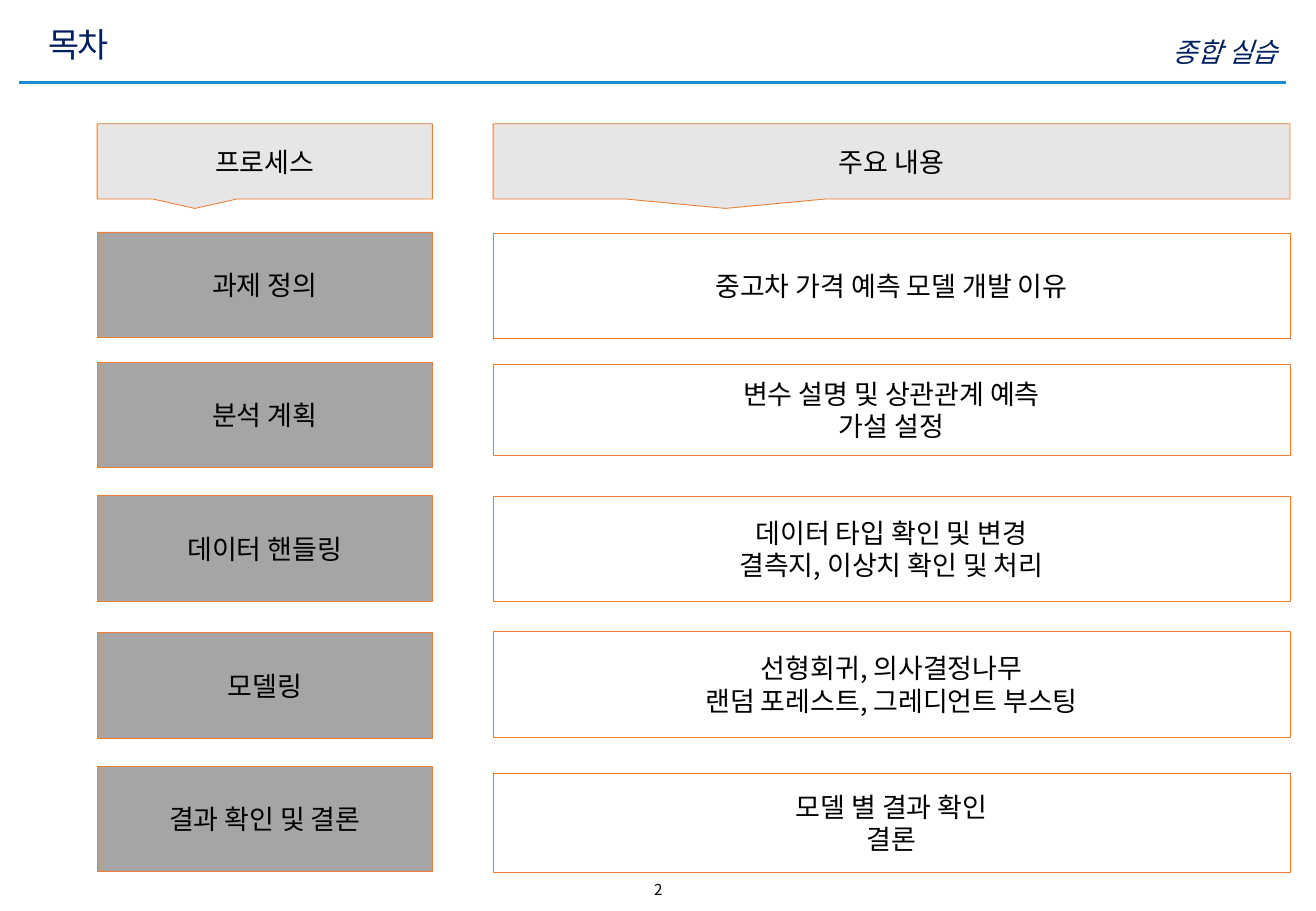
from pptx import Presentation
from pptx.dml.color import RGBColor
from pptx.enum.shapes import MSO_CONNECTOR, MSO_SHAPE
from pptx.enum.text import MSO_ANCHOR, PP_ALIGN
from pptx.oxml.ns import qn
from pptx.util import Pt
from lxml import etree

FONT = "Noto Sans CJK KR"
NAVY = RGBColor(0x00, 0x20, 0x60)
BLUE = RGBColor(0x18, 0x8D, 0xD0)
ORANGE = RGBColor(0xED, 0x7D, 0x31)
GRAY = RGBColor(0xA5, 0xA5, 0xA5)
LIGHT = RGBColor(0xE7, 0xE6, 0xE6)
WHITE = RGBColor(0xFF, 0xFF, 0xFF)
BLACK = RGBColor(0x00, 0x00, 0x00)

RECT, CALLOUT = MSO_SHAPE.RECTANGLE, MSO_SHAPE.RECTANGULAR_CALLOUT
STRAIGHT = MSO_CONNECTOR.STRAIGHT
LEFT, CENTER, RIGHT = PP_ALIGN.LEFT, PP_ALIGN.CENTER, PP_ALIGN.RIGHT
TOP, MIDDLE = MSO_ANCHOR.TOP, MSO_ANCHOR.MIDDLE

# Each row: top, height, text
PROCESS_ROWS = [
    (137.5, 62.6, "과제 정의"),
    (214.6, 62.6, "분석 계획"),
    (293.8, 62.6, "데이터 핸들링"),
    (375.1, 62.6, "모델링"),
    (454.3, 62.6, "결과 확인 및 결론"),
]
CONTENT_ROWS = [
    (138.2, 62.6, "중고차 가격 예측 모델 개발 이유"),
    (216, 54, "변수 설명 및 상관관계 예측\n가설 설정"),
    (294.5, 61.9, "데이터 타입 확인 및 변경\n결측지, 이상치 확인 및 처리"),
    (374.4, 62.6, "선형회귀, 의사결정나무\n랜덤 포레스트, 그레디언트 부스팅"),
    (458.6, 58.3, "모델 별 결과 확인\n결론"),
]


def write(shape, text, size, color, align, anchor, wrap=True, italic=None):
    tf = shape.text_frame
    tf.text = text
    tf.word_wrap = wrap
    tf.vertical_anchor = anchor
    for p in tf.paragraphs:
        p.alignment = align
        for r in p.runs:
            r.font.name = FONT
            r.font.size = Pt(size)
            r.font.italic = italic
            r.font.color.rgb = color
            # East Asian typeface
            ea = etree.SubElement(r.font._element, qn("a:ea"))
            ea.set("typeface", FONT)


def add_label(s, left, top, width, height, *text_format, **options):
    sp = s.shapes.add_textbox(Pt(left), Pt(top), Pt(width), Pt(height))
    write(sp, *text_format, **options)


def add_box(s, kind, left, top, width, height, fill, text):
    sp = s.shapes.add_shape(kind, Pt(left), Pt(top), Pt(width), Pt(height))
    sp.shadow.inherit = False
    sp.fill.solid()
    sp.fill.fore_color.rgb = fill
    sp.line.color.rgb = ORANGE
    sp.line.width = Pt(0.5)
    write(sp, text, 16, BLACK, CENTER, MIDDLE, wrap=False)


def add_header(s, left, top, width):
    # Title
    title = s.shapes.title
    title.left, title.top = Pt(left + 10), Pt(top)
    title.width, title.height = Pt(612.7), Pt(31.7)
    write(title, "목차", 20, NAVY, LEFT, MIDDLE)
    title.text_frame.paragraphs[0].runs[0].font._element.set("spc", "-100")
    # Course name
    add_label(s, left + width - 291, top + 7.2, 293, 21.6,
              "종합 실습", 16, NAVY, RIGHT, TOP, italic=True)
    # Rule under the header
    rule = s.shapes.add_connector(STRAIGHT, Pt(left), Pt(top + 38.9),
                                  Pt(left + width), Pt(top + 38.9))
    rule.line.color.rgb = BLUE
    rule.line.width = Pt(2)
    etree.SubElement(rule._element.spPr, qn("a:effectLst"))


def add_column(s, left, top, width, heading, fill, rows):
    add_box(s, CALLOUT, left, top, width, 44.6, LIGHT, heading)
    for row_top, height, text in rows:
        add_box(s, RECT, left, row_top, width, height, fill, text)


def main():
    prs = Presentation()
    prs.slide_width, prs.slide_height = Pt(780), Pt(540)
    s = prs.slides.add_slide(prs.slide_layouts[5])
    add_header(s, 11.5, 10.1, 751)
    # Process steps and their contents
    add_column(s, 57.6, 73.4, 198.7, "프로세스", GRAY, PROCESS_ROWS)
    add_column(s, 292.3, 73.4, 472.3, "주요 내용", WHITE, CONTENT_ROWS)
    # Page number
    add_label(s, 316, 518.4, 148.3, 18, "2", 8.9, BLACK, CENTER, TOP)
    prs.save("out.pptx")


if __name__ == "__main__":
    main()
